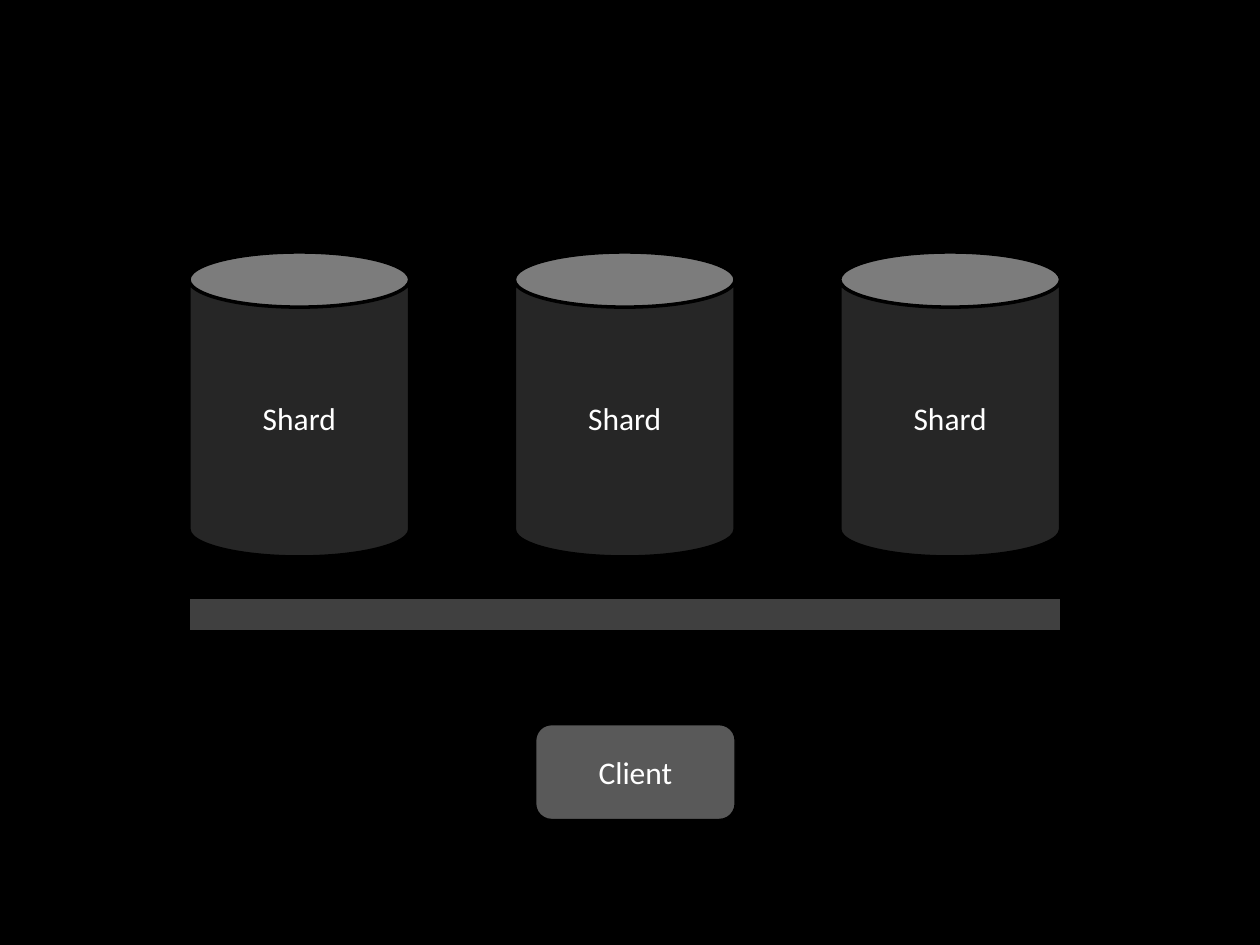
"""Build a slide showing three shards, a bar below them and a client."""
from dataclasses import dataclass

from pptx import Presentation
from pptx.dml.color import RGBColor
from pptx.enum.shapes import MSO_SHAPE
from pptx.enum.text import MSO_ANCHOR, PP_ALIGN
from pptx.slide import Slide
from pptx.util import Cm, Pt

BLACK = RGBColor(0x00, 0x00, 0x00)
SHARD_GRAY = RGBColor(0x26, 0x26, 0x26)
BAR_GRAY = RGBColor(0x40, 0x40, 0x40)
CLIENT_GRAY = RGBColor(0x59, 0x59, 0x59)
WHITE = RGBColor(0xFF, 0xFF, 0xFF)

LEFT = 3.81
SHARD_WIDTH = 4.45
SHARD_PITCH = 6.56
SHARD_COUNT = 3


@dataclass(frozen=True)
class Node:
    kind: MSO_SHAPE
    left: float
    top: float
    width: float
    height: float
    fill: RGBColor
    line_width: float = 0.75
    label: str = ""


def draw_node(s: Slide, node: Node) -> None:
    sp = s.shapes.add_shape(
        node.kind, Cm(node.left), Cm(node.top), Cm(node.width), Cm(node.height)
    )
    sp.shadow.inherit = False
    sp.fill.solid()
    sp.fill.fore_color.rgb = node.fill
    sp.line.color.rgb = BLACK
    sp.line.width = Pt(node.line_width)
    if node.label:
        tf = sp.text_frame
        tf.vertical_anchor = MSO_ANCHOR.MIDDLE
        p = tf.paragraphs[0]
        p.text = node.label
        p.alignment = PP_ALIGN.CENTER
        p.font.name = "Calibri"
        p.font.size = Pt(18)
        p.font.color.rgb = WHITE


def main() -> None:
    prs = Presentation()
    prs.slide_width, prs.slide_height = Cm(25.4), Cm(19.05)
    s = prs.slides.add_slide(prs.slide_layouts[6])
    s.background.fill.solid()
    s.background.fill.fore_color.rgb = BLACK

    shards = [
        Node(MSO_SHAPE.CAN, LEFT + i * SHARD_PITCH, 5.08, SHARD_WIDTH, 6.15,
             SHARD_GRAY, 2, "Shard")
        for i in range(SHARD_COUNT)
    ]
    bar_width = (SHARD_COUNT - 1) * SHARD_PITCH + SHARD_WIDTH
    bar = Node(MSO_SHAPE.RECTANGLE, LEFT, 12.07, bar_width, 0.64, BAR_GRAY)
    client = Node(MSO_SHAPE.ROUNDED_RECTANGLE, 10.8, 14.61, 4.02, 1.91,
                  CLIENT_GRAY, label="Client")
    for node in (*shards, bar, client):
        draw_node(s, node)

    prs.save("out.pptx")


if __name__ == "__main__":
    main()
